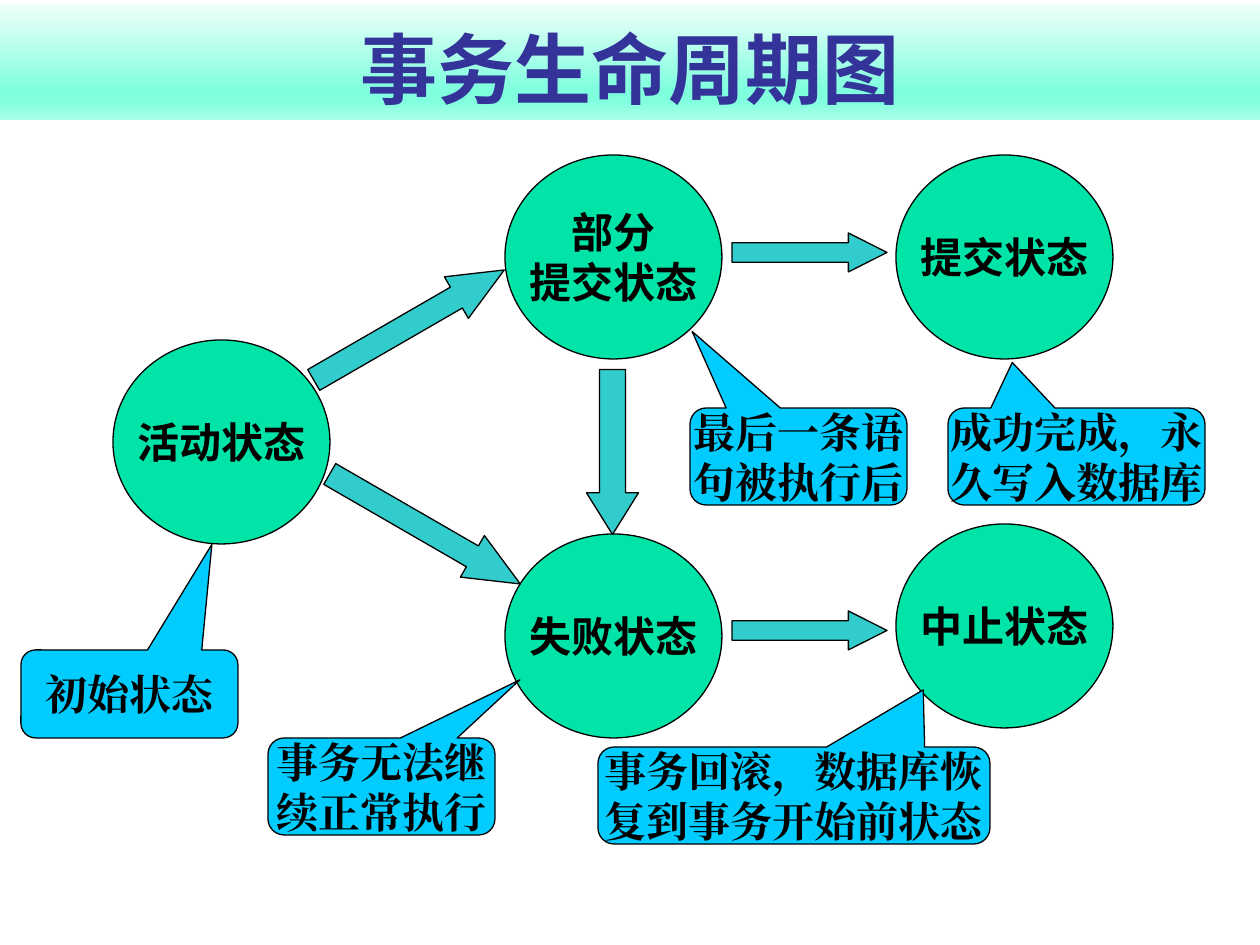
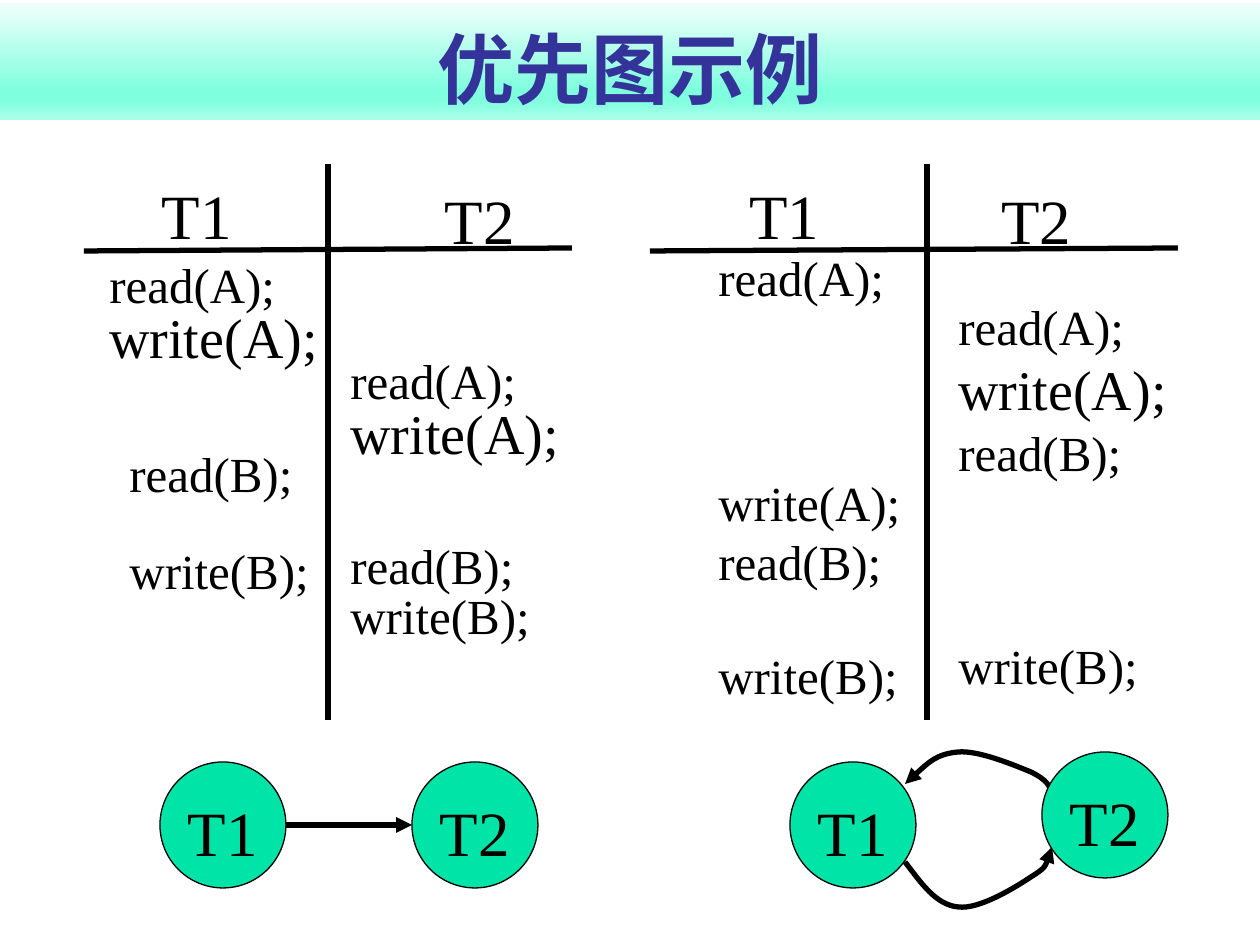
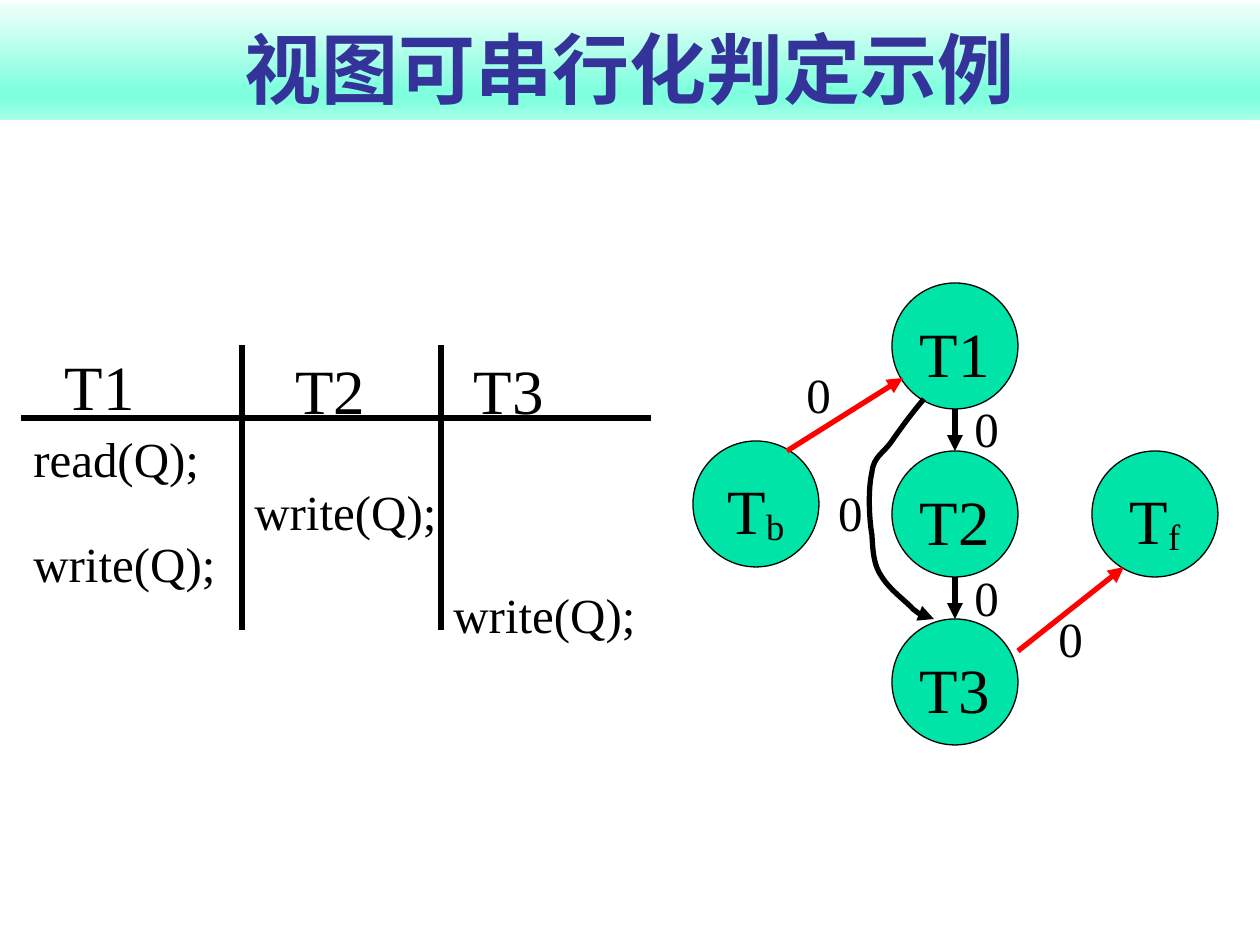
from lxml import etree
from pptx import Presentation
from pptx.dml.color import RGBColor
from pptx.enum.shapes import MSO_CONNECTOR, MSO_SHAPE
from pptx.enum.text import MSO_ANCHOR, PP_ALIGN
from pptx.oxml import parse_xml
from pptx.oxml.ns import nsdecls, qn
from pptx.util import Pt

# Scale, colours and fonts
PX = 914400 / 126
BLACK = RGBColor(0x00, 0x00, 0x00)
RED = RGBColor(0xFF, 0x00, 0x00)
TITLE_BLUE = RGBColor(0x33, 0x33, 0x99)
STATE_GREEN = RGBColor(0x00, 0xE4, 0xA8)
ARROW_TEAL = RGBColor(0x33, 0xCC, 0xCC)
CALLOUT_BLUE = RGBColor(0x00, 0xCC, 0xFF)
BAND_STOPS = [(0, "F1FFFB"), (74, "80FFDE"), (83, "80FFDE"), (100, "AAFFE9")]
SANS, SERIF = "Roboto", "Times New Roman"
NODE = 126
TIGHT, LOOSE = 0.84, 1.0

# Slide 1: life cycle of a transaction
STATE_SIZE = (217, 204)
STATES = [  # left, top, lines
    (113, 340, ["活动状态"]),
    (505, 534, ["失败状态"]),
    (505, 155, ["部分", "提交状态"]),
    (896, 155, ["提交状态"]),
    (896, 524, ["中止状态"]),
]
BLOCK_ARROWS = [  # left, top, width, height, rotation, head length
    (732, 233, 155, 39, 0, 0.99),
    (732, 611, 155, 39, 0, 0.99),
    (315, 505, 220, 48, 30, 1.15),
    (299, 301, 220, 48, 330, 1.15),
    (530, 426, 165, 52, 90, 0.8),
]
CALLOUTS = [  # left, top, width, height, tip x, tip y, lines
    (21, 650, 217, 88, 0.38, -1.7, ["初始状态"]),
    (268, 738, 227, 97, 0.61, -1.1, ["事务无法继", "续正常执行"]),
    (598, 747, 392, 97, 0.33, -1.09, ["事务回滚，数据库恢", "复到事务开始前状态"]),
    (690, 408, 217, 97, -0.49, -1.29, ["最后一条语", "句被执行后"]),
    (948, 408, 257, 97, -0.25, -0.97, ["成功完成，永", "久写入数据库"]),
]

# Slide 2: precedence graphs
PRECEDENCE_RULES = [
    (84, 251, 572, 248), (328, 164, 328, 720),
    (650, 251, 1178, 248), (927, 164, 927, 720),
]
PRECEDENCE_HEADS = [(129, 165, "T1"), (412, 170, "T2"), (716, 165, "T1"), (968, 170, "T2")]
PRECEDENCE_STEPS = [  # left, top, width, height, line spacing, (text, size, gap before)
    (97, 258, 273, 113, TIGHT, [("read(A);", 28, 0), ("write(A);", 32, 0)]),
    (338, 354, 273, 113, TIGHT, [("read(A);", 28, 0), ("write(A);", 32, 0)]),
    (117, 447, 210, 107, TIGHT, [("read(B);", 28, 0), ("write(B);", 28, 27)]),
    (338, 539, 242, 107, TIGHT, [("read(B);", 28, 0), ("write(B);", 28, 0)]),
    (706, 251, 273, 59, TIGHT, [("read(A);", 28, 0)]),
    (706, 466, 242, 180, LOOSE,
     [("write(A);", 28, 0), ("read(B);", 28, 0), ("write(B);", 28, 32)]),
    (946, 290, 242, 189, LOOSE,
     [("read(A);", 28, 0), ("write(A);", 32, 0), ("read(B);", 28, 0)]),
    (946, 639, 242, 59, TIGHT, [("write(B);", 28, 0)]),
]
PRECEDENCE_NODES = [
    (160, 762, "T1", ""), (412, 762, "T2", ""),
    (790, 762, "T1", ""), (1042, 752, "T2", ""),
]
PRECEDENCE_CURVES = [  # start point, then three points per Bézier segment
    [(1052, 794), (1050, 786), (1047, 780), (1031, 772), (1016, 766),
     (979, 750), (958, 752), (936, 754), (921, 769), (905, 784)],
    [(905, 862), (921, 883), (936, 905), (958, 907), (979, 910),
     (1016, 887), (1031, 877), (1047, 867), (1050, 857), (1052, 847)],
]

# Slide 3: view serializability
VIEW_RULES = [(21, 418, 651, 418), (242, 345, 242, 630), (441, 345, 441, 630)]
VIEW_HEADS = [(32, 336, "T1"), (262, 340, "T2"), (441, 340, "T3")]
VIEW_STEPS = [
    (21, 432, 202, 59, TIGHT, [("read(Q);", 28, 0)]),
    (21, 537, 210, 59, TIGHT, [("write(Q);", 28, 0)]),
    (242, 485, 219, 59, TIGHT, [("write(Q);", 28, 0)]),
    (441, 588, 209, 59, TIGHT, [("write(Q);", 28, 0)]),
]
VIEW_NODES = [
    (892, 283, "T1", ""), (892, 451, "T2", ""), (892, 619, "T3", ""),
    (693, 441, "T", "b"), (1092, 451, "T", "f"),
]
VIEW_EDGES = [  # from x, from y, to x, to y, colour
    (787, 451, 903, 378, RED), (1018, 651, 1124, 567, RED),
    (955, 409, 955, 451, BLACK), (955, 577, 955, 619, BLACK),
]
VIEW_WEIGHTS = [(787, 368), (1039, 612), (955, 402), (955, 571), (819, 486)]
VIEW_CURVE = [
    (924, 399), (912, 413), (901, 428), (892, 441), (883, 454), (874, 456), (872, 472),
    (868, 489), (869, 518), (872, 535), (873, 553), (874, 566), (882, 577),
    (890, 590), (907, 602), (913, 609), (922, 616), (928, 617), (934, 619),
]


def px(*lengths):
    return [round(length * PX) for length in lengths]


def format_run(run, size, font_name, color=BLACK, bold=False):
    font = run.font
    font.size, font.name, font.bold = Pt(size), font_name, bold
    font.color.rgb = color
    east_asian = etree.SubElement(run._r.get_or_add_rPr(), qn("a:ea"))
    east_asian.set("typeface", font_name)


def add_arrowhead(shape):
    line = shape.element.spPr.find(qn("a:ln"))
    etree.SubElement(line, qn("a:tailEnd")).set("type", "triangle")


def add_title_slide(presentation, title_text):
    slide = presentation.slides.add_slide(presentation.slide_layouts[5])
    title = slide.shapes.title
    title.left, title.top, title.width, title.height = px(0, 3, 1260, 117)
    stops = "".join(f'<a:gs pos="{position * 1000}"><a:srgbClr val="{color}"/></a:gs>'
                    for position, color in BAND_STOPS)
    title.element.spPr.append(parse_xml(
        f'<a:gradFill {nsdecls("a")}><a:gsLst>{stops}</a:gsLst>'
        '<a:lin ang="5400000" scaled="0"/></a:gradFill>'))
    title.text_frame.text = title_text
    title.text_frame.vertical_anchor = MSO_ANCHOR.BOTTOM
    paragraph = title.text_frame.paragraphs[0]
    paragraph.alignment = PP_ALIGN.CENTER
    format_run(paragraph.runs[0], 44, SANS, TITLE_BLUE, True)
    return slide


def add_preset(slide, preset, box, fill):
    shape = slide.shapes.add_shape(preset, *px(*box))
    shape.shadow.inherit = False
    shape.fill.solid()
    shape.fill.fore_color.rgb = fill
    shape.line.color.rgb = BLACK
    shape.line.width = Pt(0.75)
    return shape


def write_bold_lines(shape, lines, font_name):
    frame = shape.text_frame
    frame.word_wrap = False
    frame.vertical_anchor = MSO_ANCHOR.MIDDLE
    frame.text = "\n".join(lines)
    for paragraph in frame.paragraphs:
        paragraph.alignment = PP_ALIGN.CENTER
        format_run(paragraph.runs[0], 24, font_name, bold=True)


def add_steps(slide, left, top, width, height, spacing, steps, align=PP_ALIGN.LEFT):
    frame = slide.shapes.add_textbox(*px(left, top, width, height)).text_frame
    frame.word_wrap = True
    frame.text = "\n".join(text for text, _, _ in steps)
    for paragraph, (_, size, gap) in zip(frame.paragraphs, steps):
        paragraph.alignment = align
        paragraph.line_spacing = spacing
        if gap:
            paragraph.space_before = Pt(gap)
        format_run(paragraph.runs[0], size, SERIF)
    return frame


def add_line(slide, x1, y1, x2, y2, color=BLACK, arrow=False):
    connector = slide.shapes.add_connector(MSO_CONNECTOR.STRAIGHT, *px(x1, y1, x2, y2))
    connector.line.color.rgb = color
    connector.line.width = Pt(3)
    etree.SubElement(connector.element.spPr, qn("a:effectLst"))
    if arrow:
        add_arrowhead(connector)


def add_curve(slide, points):
    builder = slide.shapes.build_freeform(*points[0], scale=PX)
    builder.add_line_segments(points[1:], close=False)
    shape = builder.convert_to_shape()
    # Every three straight segments become one cubic segment
    segments = shape.element.xpath(".//a:lnTo")
    for first, second, third in zip(*[iter(segments)] * 3):
        first.tag = qn("a:cubicBezTo")
        for segment in (second, third):
            first.append(segment[0])
            segment.getparent().remove(segment)
    shape.shadow.inherit = False
    shape.fill.background()
    shape.line.color.rgb = BLACK
    shape.line.width = Pt(3)
    add_arrowhead(shape)


def add_node(slide, left, top, name, subscript):
    frame = add_preset(slide, MSO_SHAPE.OVAL, (left, top, NODE, NODE), STATE_GREEN).text_frame
    frame.word_wrap = False
    frame.vertical_anchor = MSO_ANCHOR.MIDDLE
    frame.margin_top, frame.margin_bottom = px(12, 0)
    paragraph = frame.paragraphs[0]
    paragraph.alignment = PP_ALIGN.CENTER
    for text in filter(None, (name, subscript)):
        run = paragraph.add_run()
        run.text = text
        format_run(run, 36, SERIF)
        if text == subscript:
            run._r.get_or_add_rPr().set("baseline", "-10000")


def add_schedule(slide, rules, heads, steps):
    for rule in rules:
        add_line(slide, *rule)
    for left, top, name in heads:
        frame = add_steps(slide, left, top, 136, 88, LOOSE, [(name, 36, 0)], PP_ALIGN.CENTER)
        frame.margin_top = px(12)[0]
    for step in steps:
        add_steps(slide, *step)


def build_life_cycle(presentation):
    slide = add_title_slide(presentation, "事务生命周期图")
    for left, top, lines in STATES:
        state = add_preset(slide, MSO_SHAPE.OVAL, (left, top, *STATE_SIZE), STATE_GREEN)
        write_bold_lines(state, lines, SANS)
    for *box, rotation, head in BLOCK_ARROWS:
        arrow = add_preset(slide, MSO_SHAPE.RIGHT_ARROW, box, ARROW_TEAL)
        arrow.adjustments[1] = head
        arrow.rotation = rotation
    for *box, tip_x, tip_y, lines in CALLOUTS:
        callout = add_preset(slide, MSO_SHAPE.ROUNDED_RECTANGULAR_CALLOUT, box, CALLOUT_BLUE)
        callout.adjustments[0], callout.adjustments[1] = tip_x, tip_y
        write_bold_lines(callout, lines, SERIF)


def build_precedence(presentation):
    slide = add_title_slide(presentation, "优先图示例")
    add_schedule(slide, PRECEDENCE_RULES, PRECEDENCE_HEADS, PRECEDENCE_STEPS)
    add_line(slide, 286, 825, 412, 825, arrow=True)
    for points in PRECEDENCE_CURVES:
        add_curve(slide, points)
    for node in PRECEDENCE_NODES:
        add_node(slide, *node)


def build_view(presentation):
    slide = add_title_slide(presentation, "视图可串行化判定示例")
    add_schedule(slide, VIEW_RULES, VIEW_HEADS, VIEW_STEPS)
    for node in VIEW_NODES:
        add_node(slide, *node)
    for edge in VIEW_EDGES:
        add_line(slide, *edge, arrow=True)
    add_curve(slide, VIEW_CURVE)
    for left, top in VIEW_WEIGHTS:
        add_steps(slide, left, top, 63, 59, TIGHT, [("0", 28, 0)], PP_ALIGN.CENTER)


def main():
    presentation = Presentation()
    presentation.slide_width, presentation.slide_height = px(1260, 945)
    build_life_cycle(presentation)
    build_precedence(presentation)
    build_view(presentation)
    presentation.save("out.pptx")


if __name__ == "__main__":
    main()
